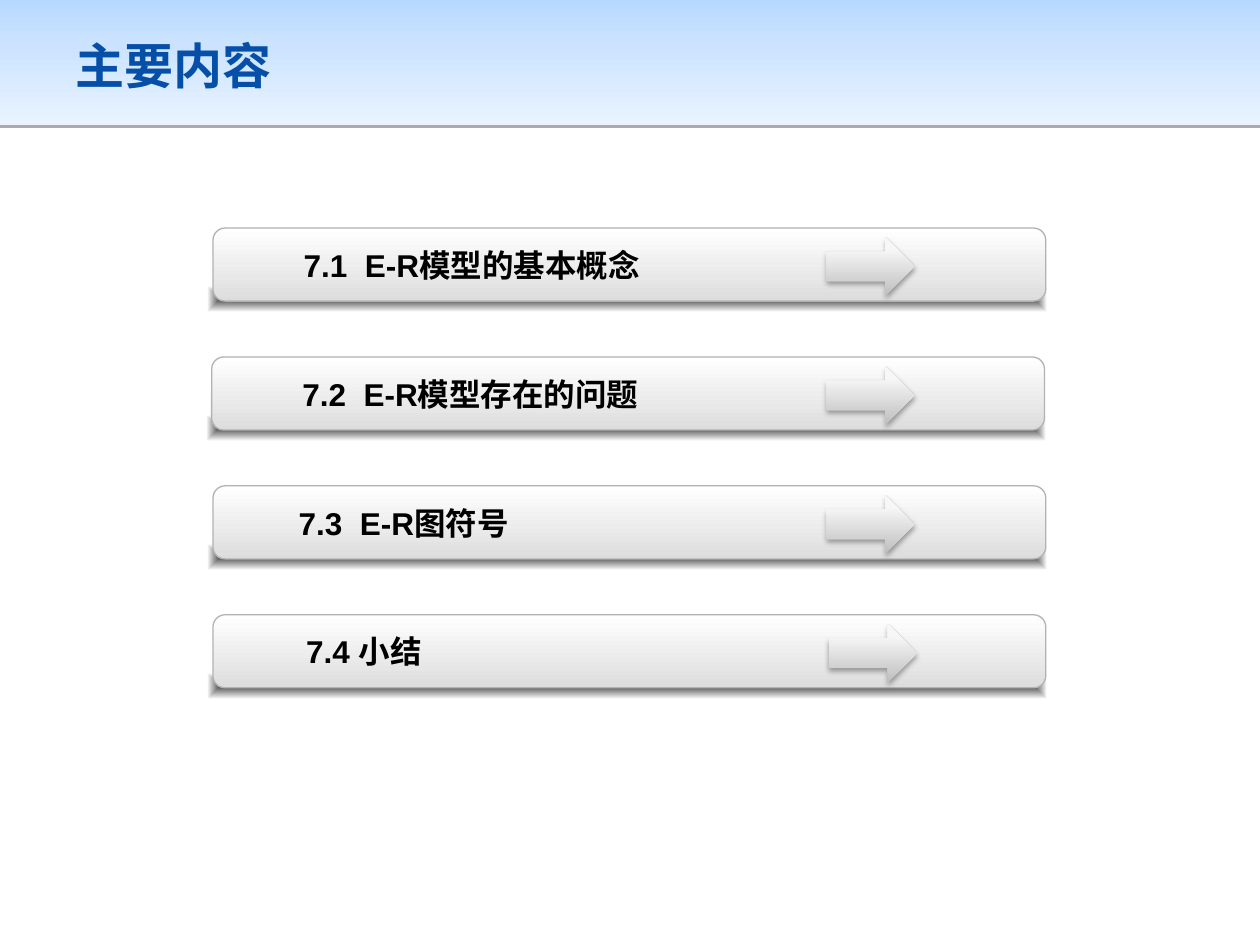
import pptx
import pptx.util
import pptx.dml.color
import pptx.enum.shapes
import pptx.enum.text
import pptx.oxml
import pptx.oxml.ns

Inch, Pt = pptx.util.Inches, pptx.util.Pt
Kind = pptx.enum.shapes.MSO_SHAPE
NS = pptx.oxml.ns.nsdecls("a")
WIDE, HIGH = 10, 7.5
PITCH = 1.023
# label, left shift of the row, label indent, left shift of the arrow
ROWS = [
    ("7.1  E-R模型的基本概念", 0, 0.64, 0),
    ("7.2  E-R模型存在的问题", -0.01, 0.64, 0),
    ("7.3  E-R图符号", 0, 0.6, 0),
    ("7.4 小结", 0, 0.66, 0.02),
]


def color(code):
    return pptx.dml.color.RGBColor.from_string(code)


def shade(shape, stops, angle=None):
    """Gradient of (percent, colour, opacity); from the centre if no angle."""
    marks = "".join(
        f'<a:gs pos="{at * 1000}"><a:srgbClr val="{code}">'
        f'<a:alpha val="{alpha * 1000}"/></a:srgbClr></a:gs>'
        for at, code, alpha in stops)
    if angle is None:
        way = ('<a:path path="shape"><a:fillToRect l="50000" t="50000" '
               'r="50000" b="50000"/></a:path>')
    else:
        way = f'<a:lin ang="{angle * 60000}" scaled="0"/>'
    fill = pptx.oxml.parse_xml(
        f'<a:gradFill {NS} rotWithShape="1"><a:gsLst>{marks}</a:gsLst>{way}</a:gradFill>')
    shape._element.spPr.find(pptx.oxml.ns.qn("a:prstGeom")).addnext(fill)


def drop(shape, alpha, blur, dist):
    """Black shadow straight below."""
    shape.shadow.inherit = False
    shape._element.spPr.find(pptx.oxml.ns.qn("a:effectLst")).append(
        pptx.oxml.parse_xml(
            f'<a:outerShdw {NS} blurRad="{Pt(blur)}" dist="{Pt(dist)}" '
            f'dir="5400000" algn="t" rotWithShape="0"><a:srgbClr val="000000">'
            f'<a:alpha val="{alpha * 1000}"/></a:srgbClr></a:outerShdw>'))


def block(slide, kind, x, y, w, h, stops, angle=None):
    shape = slide.shapes.add_shape(kind, Inch(x), Inch(y), Inch(w), Inch(h))
    shape.shadow.inherit = False
    shape.line.fill.background()
    shade(shape, stops, angle)
    return shape


def label(slide, x, y, w, h, words, size, code, indent=0.1):
    box = slide.shapes.add_textbox(Inch(x), Inch(y), Inch(w), Inch(h))
    frame = box.text_frame
    frame.word_wrap = True
    frame.margin_left = Inch(indent)
    frame.vertical_anchor = pptx.enum.text.MSO_ANCHOR.MIDDLE
    run = frame.paragraphs[0].add_run()
    run.text = words
    font = run.font
    font.name, font.size, font.bold = "Arial", Pt(size), True
    font.color.rgb = color(code)


def header(slide, x, y, w, h):
    band = block(slide, Kind.RECTANGLE, x, y, w, h,
                 [(0, "B7D9FF", 100), (35, "CBE3FF", 100), (100, "E8F3FF", 100)], 90)
    drop(band, 33, 0, 1.6)
    label(slide, x + 0.05 * w, y + 0.16, 0.9 * w, 0.71, "主要内容", 28, "054FA9")


def entry(slide, x, y, w, h, words, indent):
    """Raised bar with its label and the soft shade under it."""
    block(slide, Kind.RECTANGLE, x - 0.04, y + 0.8 * h, w + 0.05, 0.2,
          [(0, "000000", 70), (100, "000000", 0)])
    bar = block(slide, Kind.ROUNDED_RECTANGLE, x, y, w, h,
                [(0, "FFFFFF", 100), (100, "DDDDDD", 100)], 90)
    bar.line.color.rgb = color("B2B2B2")
    bar.line.width = Pt(0.75)
    label(slide, x + 0.08, y, 5.91, h, words, 18, "000000", indent)


def arrow(slide, x, y, w, h):
    shape = block(slide, Kind.RIGHT_ARROW, x, y, w, h,
                  [(0, "BEBEBE", 100), (80, "F7F7F7", 100), (100, "F8F8F8", 100)], 270)
    drop(shape, 35, 3.1, 1.8)


def main():
    deck = pptx.Presentation()
    deck.slide_width, deck.slide_height = Inch(WIDE), Inch(HIGH)
    slide = deck.slides.add_slide(deck.slide_layouts[6])
    header(slide, 0, 0, WIDE, 0.99)
    for i, (words, shift, indent, nudge) in enumerate(ROWS):
        top = 1.81 + i * PITCH
        entry(slide, 1.69 + shift, top, 6.61, 0.58, words, indent)
        arrow(slide, 6.56 + nudge, top + 0.07, 0.7, 0.47)
    deck.save("out.pptx")


if __name__ == "__main__":
    main()
